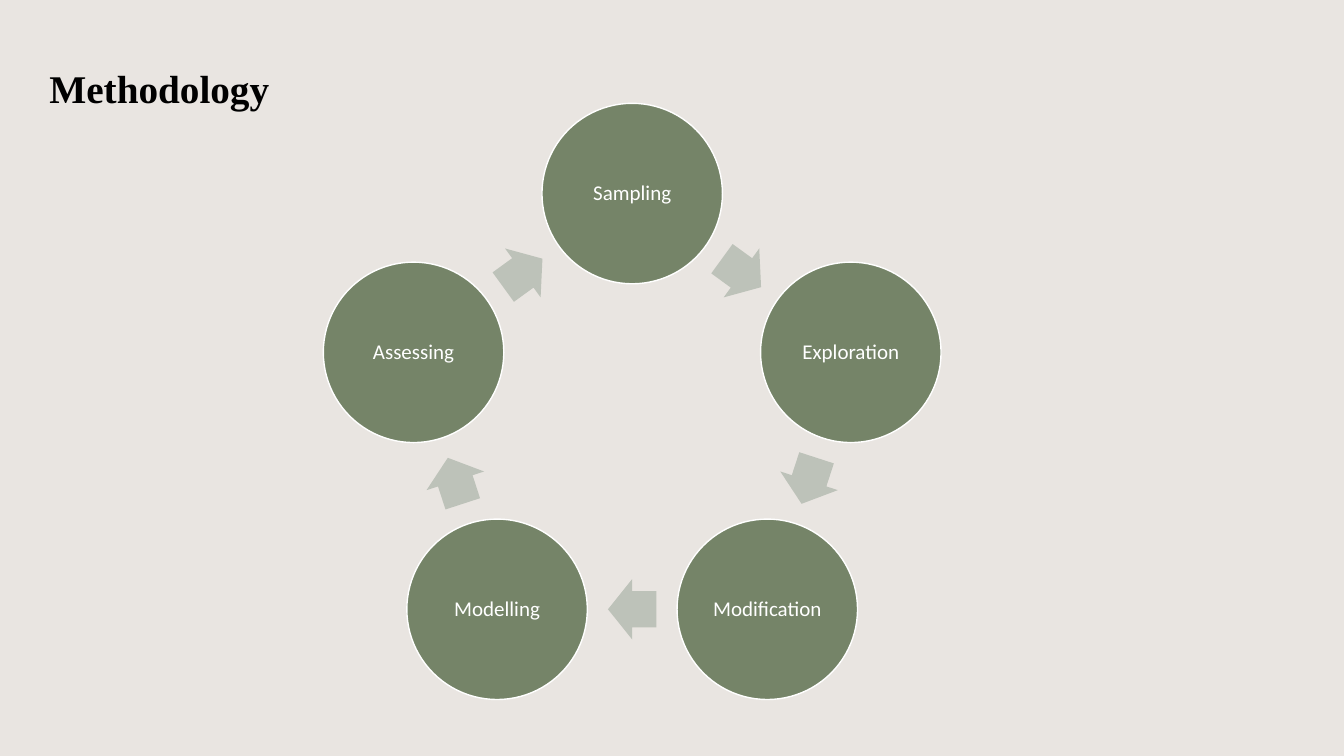
import math

import pptx
import pptx.dml.color
import pptx.enum.shapes
import pptx.enum.text
import pptx.util

Inches, Pt = pptx.util.Inches, pptx.util.Pt
Shape = pptx.enum.shapes.MSO_SHAPE
Align = pptx.enum.text.PP_ALIGN
Anchor = pptx.enum.text.MSO_ANCHOR

STAGES = ["Sampling", "Exploration", "Modification", "Modelling", "Assessing"]
CENTER_X, CENTER_Y, RADIUS = 6.27, 4.2, 2.28
DIAMETER = 1.79
ARROW_LENGTH, ARROW_HEIGHT = 0.48, 0.6
TURN = 360 / len(STAGES)


def paint(color_format, color):
    color_format.rgb = pptx.dml.color.RGBColor.from_string(color)


def add_centered(shapes, kind, center, width, height, color):
    """Add a filled preset shape around its center point, in inches."""
    x, y = center
    shape = shapes.add_shape(kind, Inches(x - width / 2), Inches(y - height / 2),
                             Inches(width), Inches(height))
    shape.shadow.inherit = False
    shape.fill.solid()
    paint(shape.fill.fore_color, color)
    return shape


deck = pptx.Presentation()
deck.slide_width, deck.slide_height = Inches(13.33), Inches(7.5)
slide = deck.slides.add_slide(deck.slide_layouts[5])
slide.background.fill.solid()
paint(slide.background.fill.fore_color, "E9E5E1")

# Title
title = slide.shapes.title
title.left, title.top = Inches(0.39), Inches(0.15)
title.width, title.height = Inches(12.33), Inches(1.45)
title.text_frame.vertical_anchor = Anchor.MIDDLE
heading = title.text_frame.paragraphs[0]
heading.alignment = Align.LEFT
heading_run = heading.add_run()
heading_run.text = "Methodology"
heading_run.font.name = "Times New Roman"
heading_run.font.size = Pt(28)
heading_run.font.bold = True
paint(heading_run.font.color, "000000")

# Stages stand clockwise on a ring, starting at the top
centers = []
for i in range(len(STAGES)):
    angle = math.radians(i * TURN)
    centers.append((CENTER_X + RADIUS * math.sin(angle),
                    CENTER_Y - RADIUS * math.cos(angle)))

cycle = slide.shapes.add_group_shape()
for i, stage in enumerate(STAGES):
    x, y = centers[i]
    next_x, next_y = centers[(i + 1) % len(STAGES)]

    circle = add_centered(cycle.shapes, Shape.OVAL, (x, y), DIAMETER, DIAMETER, "758468")
    paint(circle.line.color, "FFFFFF")
    circle.line.width = Pt(1)
    label = circle.text_frame
    label.word_wrap = True
    label.vertical_anchor = Anchor.MIDDLE
    label.margin_left = label.margin_right = Inches(0.02)
    label.margin_top = label.margin_bottom = Inches(0.02)
    label.paragraphs[0].alignment = Align.CENTER
    label.paragraphs[0].line_spacing = 0.9
    stage_run = label.paragraphs[0].add_run()
    stage_run.text = stage
    stage_run.font.name = "Calibri"
    stage_run.font.size = Pt(15)
    paint(stage_run.font.color, "FFFFFF")

    midway = ((x + next_x) / 2, (y + next_y) / 2)
    arrow = add_centered(cycle.shapes, Shape.RIGHT_ARROW, midway,
                         ARROW_LENGTH, ARROW_HEIGHT, "BDC2B9")
    arrow.line.fill.background()
    arrow.adjustments[0] = 0.6
    arrow.adjustments[1] = 0.5
    arrow.rotation = (i + 0.5) * TURN

deck.save("out.pptx")
